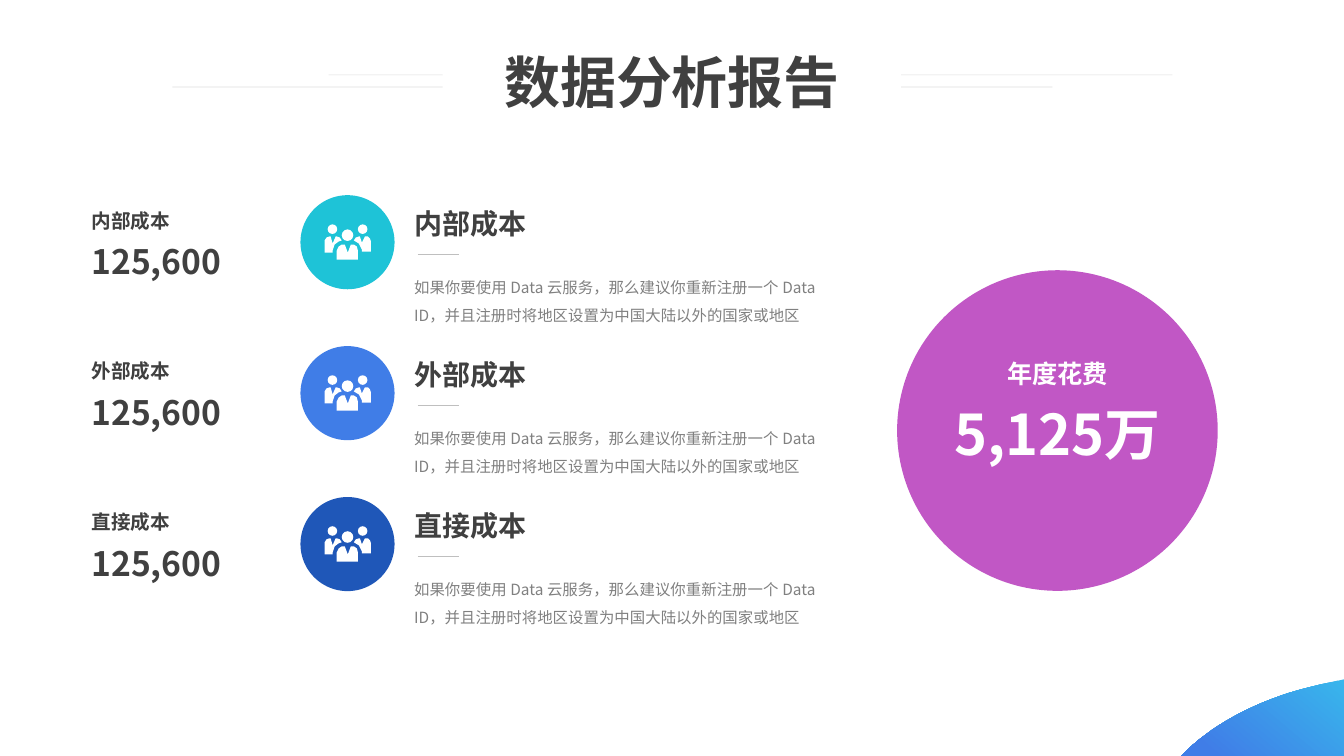
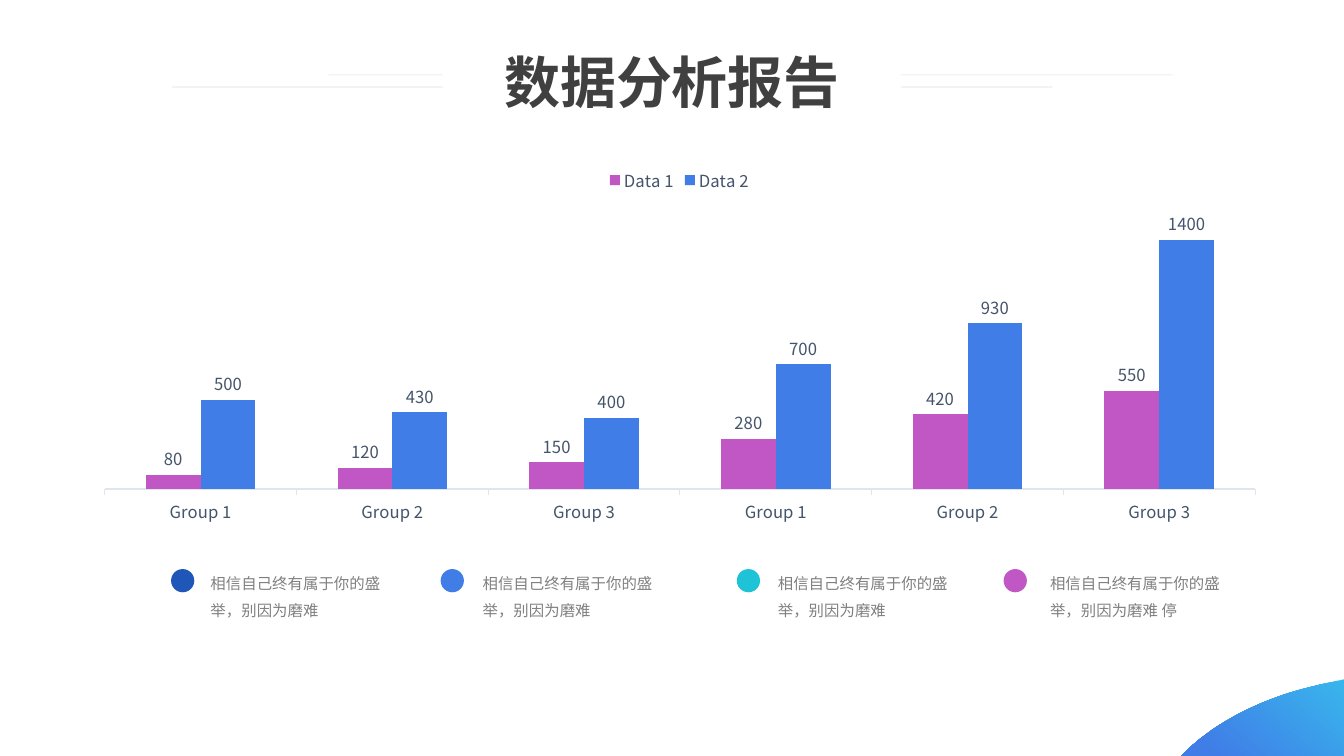
from lxml.etree import SubElement
from pptx import Presentation
from pptx.chart.data import CategoryChartData as Data
from pptx.dml.color import RGBColor
from pptx.enum.chart import XL_CHART_TYPE as Kind, XL_LABEL_POSITION as Spot
from pptx.enum.chart import XL_LEGEND_POSITION as Side, XL_TICK_MARK as Tick
from pptx.enum.shapes import MSO_CONNECTOR as Link, MSO_SHAPE as Form
from pptx.enum.text import MSO_ANCHOR as Anchor, MSO_AUTO_SIZE as Fit, PP_ALIGN as Align
from pptx.oxml.ns import qn
from pptx.util import Pt

FONT = "Noto Sans CJK SC"
INK = RGBColor(0x40, 0x40, 0x40)
GRAY = RGBColor(0x80, 0x80, 0x80)
RULE = RGBColor(0xBF, 0xBF, 0xBF)
SLATE = RGBColor(0x44, 0x54, 0x6A)
AXIS = RGBColor(0xE0, 0xE5, 0xEB)
WHITE = RGBColor(0xFF, 0xFF, 0xFF)
SKY = RGBColor(0x38, 0xB6, 0xEC)
CYAN = RGBColor(0x1E, 0xC3, 0xD7)
BLUE = RGBColor(0x40, 0x7D, 0xE7)
NAVY = RGBColor(0x1F, 0x57, 0xB8)
PINK = RGBColor(0xC1, 0x57, 0xC5)


def say(box, text, size, color, bold=True, align=Align.LEFT, space=1.0):
    frame = box.text_frame
    frame.text = text
    frame.word_wrap = True
    frame.auto_size = Fit.NONE
    frame.vertical_anchor = Anchor.TOP
    para = frame.paragraphs[0]
    para.alignment = align
    para.line_spacing = space
    for run in para.runs:
        run.font.name = FONT
        run.font.size = Pt(size)
        run.font.bold = bold
        run.font.color.rgb = color
        SubElement(run._r.get_or_add_rPr(), qn("a:ea"), typeface=FONT)


def disc(shapes, x, y, size, color):
    dot = shapes.add_shape(Form.OVAL, Pt(x), Pt(y), Pt(size), Pt(size))
    dot.shadow.inherit = False
    dot.fill.solid()
    dot.fill.fore_color.rgb = color
    dot.line.fill.background()


deck = Presentation()
deck.slide_width = Pt(960)
deck.slide_height = Pt(540)
layout = deck.slide_layouts[5]
costs = deck.slides.add_slide(layout)
sales = deck.slides.add_slide(layout)

for slide in (costs, sales):
    title = slide.shapes.title
    title.left, title.top, title.width, title.height = Pt(345), Pt(30.2), Pt(270), Pt(55.4)
    say(title, "数据分析报告", 40, INK, align=Align.CENTER)

curve = [(851, 533), (875.5, 511.2), (910.1, 495.4), (950.4, 487.4)]
edge = [(960, 485.3), (960, 540), (843.8, 540)]
for step in range(17):
    t = step / 16
    mix = [(1 - t) ** 3, 3 * t * (1 - t) ** 2, 3 * t * t * (1 - t), t ** 3]
    edge.append(tuple(sum(m * p[k] for m, p in zip(mix, curve)) for k in (0, 1)))
edge = [(x * 10, y * 10) for x, y in edge]
pen = costs.shapes.build_freeform(*edge[0], scale=Pt(0.1))
pen.add_line_segments(edge[1:])
corner = pen.convert_to_shape()
corner.shadow.inherit = False
corner.line.fill.background()
corner.fill.gradient()
corner.fill.gradient_angle = 230
for stop, color, place in zip(corner.fill.gradient_stops, (SKY, BLUE), (0, 0.87)):
    stop.color.rgb = color
    stop.position = place
shared = [corner]

TOP, PITCH = 139.4, 107.8
rules = [(234.7, 316.1, 53.5, True), (123.1, 316.1, 62.1, True),
         (643.7, 837.4, 53.5, True), (643.7, 751.7, 62.1, True)]
rules += [(298.5, 327.8, TOP + 42.5 + row * PITCH, False) for row in range(3)]
for left, right, y, faint in rules:
    rule = costs.shapes.add_connector(Link.STRAIGHT, Pt(left), Pt(y), Pt(right), Pt(y))
    rule.line.color.rgb = RULE
    rule.line.width = Pt(0.5 if faint else 1)
    SubElement(rule.element.spPr, qn("a:effectLst"))
    if faint:
        tint = rule.element.xpath(".//a:srgbClr")[0]
        SubElement(tint, qn("a:alpha"), val="50000")
        shared.append(rule)

for mark, part in enumerate(shared, 20):
    part.element.xpath(".//p:cNvPr")[0].set("id", str(mark))
    layout.shapes.element.append(part.element)

BODIES = [
    [(65, 41), (64, 41), (61, 47), (59, 41), (58, 41), (55, 42), (53, 45), (58, 48),
     (61, 54), (61, 56), (70, 56), (70, 46), (69, 43), (67, 41)],
    [(36, 41), (35, 41), (32, 48), (30, 41), (29, 41), (26, 42), (24, 45), (24, 57),
     (32, 57), (32, 55), (34, 49), (38, 46), (41, 45), (39, 42)],
    [(53, 49), (50, 49), (47, 57), (44, 49), (41, 49), (38, 51), (36, 55), (36, 64),
     (57, 64), (57, 55), (56, 51)],
]
HEADS = [(57, 29, 9.5), (27, 29, 9.5), (41, 34, 11.5)]
UNIT = 0.72
NOTE = "如果你要使用 Data 云服务，那么建议你重新注册一个 Data ID，并且注册时将地区设置为中国大陆以外的国家或地区"

for row, (name, color) in enumerate([("内部成本", CYAN), ("外部成本", BLUE), ("直接成本", NAVY)]):
    y = TOP + row * PITCH
    disc(costs.shapes, 214.6, y, 67.2, color)
    icon = costs.shapes.add_group_shape()
    for outline in BODIES:
        pen = icon.shapes.build_freeform(*outline[0], scale=Pt(UNIT))
        pen.add_line_segments(outline[1:])
        body = pen.convert_to_shape(Pt(214.6), Pt(y))
        body.shadow.inherit = False
        body.fill.solid()
        body.fill.fore_color.rgb = WHITE
        body.line.fill.background()
    for across, down, size in HEADS:
        disc(icon.shapes, 214.6 + across * UNIT, y + down * UNIT, size * UNIT, WHITE)
    for text, x, down, width, height, size, ink, bold, space in [
        (name, 58.3, 6, 149, 24.5, 14, INK, True, 1.0),
        ("125,600", 58.3, 29, 149, 36, 24, INK, True, 1.0),
        (name, 288.7, 4.5, 149, 31.7, 20, INK, True, 1.0),
        (NOTE, 288.7, 49.2, 310.3, 45.4, 11, GRAY, False, 1.5),
    ]:
        box = costs.shapes.add_textbox(Pt(x), Pt(y + down), Pt(width), Pt(height))
        say(box, text, size, ink, bold, space=space)

disc(costs.shapes, 640.8, 193, 229, PINK)
for text, y, height, size in [("年度花费", 252.7, 28.8, 18), ("5,125万", 282.2, 55.4, 40)]:
    box = costs.shapes.add_textbox(Pt(657.4), Pt(y), Pt(195.8), Pt(height))
    say(box, text, size, WHITE, align=Align.CENTER)

data = Data()
data.categories = ["Group 1", "Group 2", "Group 3"] * 2
data.add_series("Data 1", [80, 120, 150, 280, 420, 550])
data.add_series("Data 2", [500, 430, 400, 700, 930, 1400])
chart = sales.shapes.add_chart(
    Kind.COLUMN_CLUSTERED, Pt(64.8), Pt(111.6), Pt(841), Pt(262.8), data).chart
chart.has_title = False
chart.font.name = FONT
chart.font.size = Pt(11.9)
chart.font.color.rgb = SLATE
chart.has_legend = True
chart.legend.position = Side.TOP
chart.legend.include_in_layout = False
values = chart.value_axis
values.visible = False
values.has_major_gridlines = False
values.minimum_scale = 0
values.maximum_scale = 1600
groups = chart.category_axis
groups.major_tick_mark = Tick.OUTSIDE
groups.format.line.color.rgb = AXIS
groups.format.line.width = Pt(0.75)
plot = chart.plots[0]
plot.gap_width = 150
plot.overlap = 0
plot.vary_by_categories = False
plot.has_data_labels = True
plot.data_labels.show_value = True
plot.data_labels.position = Spot.OUTSIDE_END
plot.data_labels.font.name = FONT
plot.data_labels.font.size = Pt(11.9)
plot.data_labels.font.color.rgb = SLATE
for series, color in zip(plot.series, (PINK, BLUE)):
    series.format.fill.solid()
    series.format.fill.fore_color.rgb = color
area = chart.element.xpath(".//c:plotArea")[0]
for old in area.findall(qn("c:layout")):
    area.remove(old)
frame = area.makeelement(qn("c:layout"))
area.insert(0, frame)
manual = SubElement(frame, qn("c:manualLayout"))
for tag, value in [("layoutTarget", "inner"), ("xMode", "edge"), ("yMode", "edge"),
                   ("x", "0.012"), ("y", "0.13"), ("w", "0.977"), ("h", "0.776")]:
    SubElement(manual, qn("c:" + tag), val=value)

WISH = "相信自己终有属于你的盛举，别因为磨难"
for x, start, color, text in [
    (122.2, 143.3, NAVY, WISH), (314.8, 337.7, BLUE, WISH),
    (526.3, 548.6, CYAN, WISH), (716.9, 743, PINK, WISH + " 停"),
]:
    disc(sales.shapes, x, 406.5, 16.6, color)
    box = sales.shapes.add_textbox(Pt(start), Pt(399.6), Pt(139), Pt(46.8))
    say(box, text, 11, GRAY, False, space=1.5)

deck.save("out.pptx")
